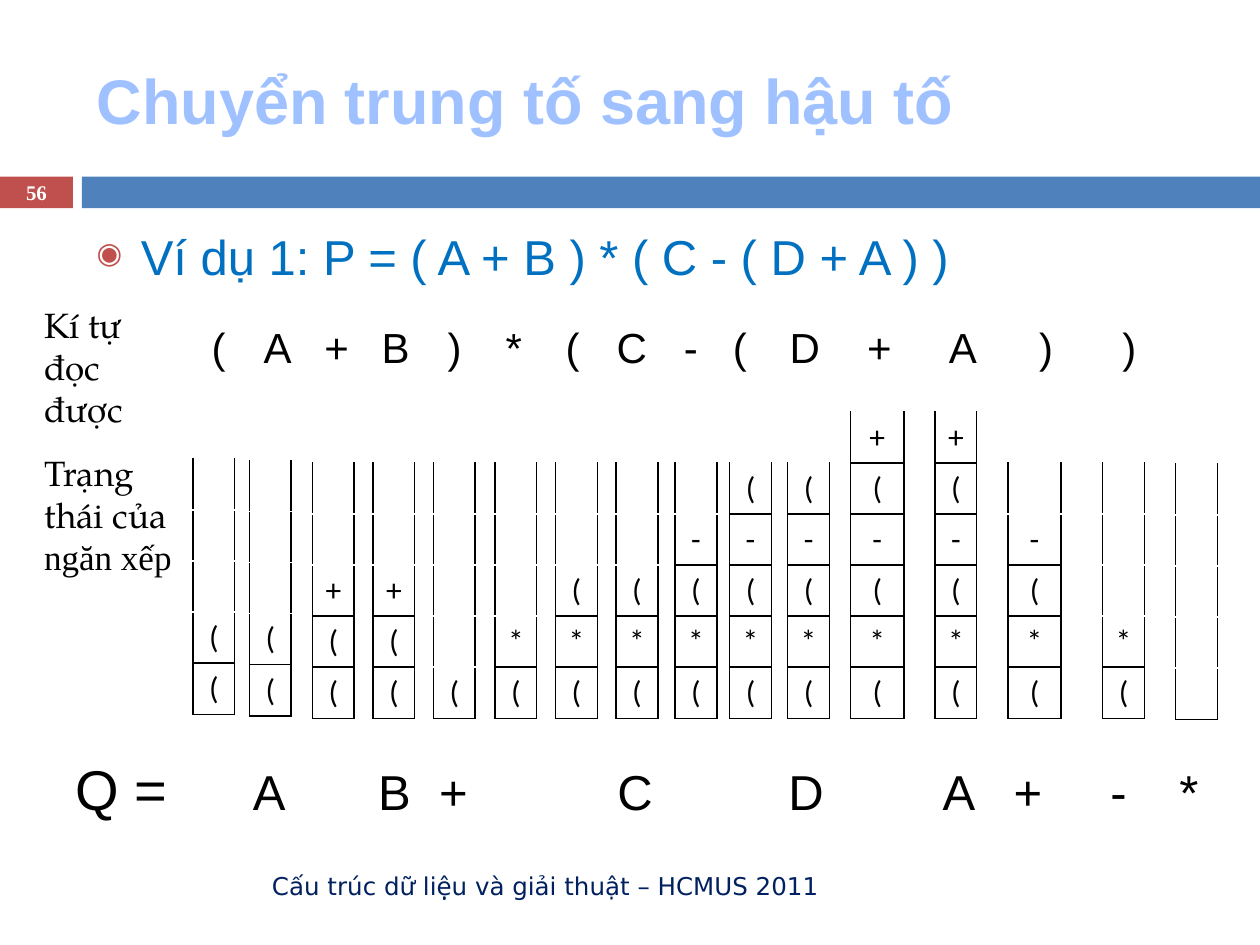
from lxml.etree import SubElement
from pptx import Presentation
from pptx.dml.color import RGBColor
from pptx.enum.shapes import MSO_SHAPE
from pptx.enum.text import MSO_ANCHOR, PP_ALIGN
from pptx.oxml.ns import qn
from pptx.util import Cm, Pt

BLACK, WHITE, RED = "000000", "FFFFFF", "C0504D"
ROW = 1.03

# Each stack: left, width, bottom, tokens from top to bottom
STACKS = [
    (3.89, 0.84, 14.4, "(("), (5.03, 0.84, 14.43, "(("),
    (6.3, 0.84, 14.48, "+(("), (7.52, 0.84, 14.48, "+(("),
    (8.74, 0.84, 14.48, "("), (9.98, 0.84, 14.48, "*("),
    (11.2, 0.84, 14.48, "(*("), (12.42, 0.84, 14.48, "(*("),
    (13.61, 0.84, 14.48, "-(*("), (14.71, 0.84, 14.48, "(-(*("),
    (15.88, 0.84, 14.48, "(-(*("), (17.15, 1.07, 14.48, "+(-(*("),
    (18.85, 0.84, 14.48, "+(-(*("), (20.32, 1.07, 14.48, "-(*("),
    (22.23, 0.84, 14.48, "*("), (23.7, 0.84, 14.5, ""),
]

# Output symbols and the centres of their columns
OUTPUT = [("A", 3.91), ("B", 6.43), ("+", 7.62), ("C", 11.28), ("D", 14.73),
          ("A", 17.81), ("+", 19.2), ("-", 21.03), ("*", 22.45)]


def color(code):
    return RGBColor.from_string(code)


def style(font, face, size, code, bold=False):
    font.name = face
    font.size = Pt(size)
    font.color.rgb = color(code)
    font.bold = bold


def add_bar(slide, left, width, code):
    bar = slide.shapes.add_shape(MSO_SHAPE.RECTANGLE, Cm(left), Cm(3.56),
                                 Cm(width), Cm(0.64))
    bar.shadow.inherit = False
    bar.fill.solid()
    bar.fill.fore_color.rgb = color(code)
    bar.line.fill.background()


def add_box(slide, area, text="", align=PP_ALIGN.LEFT, anchor=MSO_ANCHOR.TOP):
    frame = slide.shapes.add_textbox(*[Cm(v) for v in area]).text_frame
    frame.word_wrap = True
    frame.vertical_anchor = anchor
    para = frame.paragraphs[0]
    para.alignment = align
    if text:
        para.text = text
    return para


def add_run(para, text, face, size):
    run = para.add_run()
    run.text = text
    style(run.font, face, size, BLACK)


def add_bullet(para, indent):
    props = para._p.get_or_add_pPr()
    props.set("marL", str(Cm(indent)))
    props.set("indent", str(-Cm(indent)))
    tint = SubElement(props, qn("a:buClr"))
    SubElement(tint, qn("a:srgbClr"), val=RED)
    SubElement(props, qn("a:buSzPct"), val="60000")
    SubElement(props, qn("a:buChar"), char="◉")


def add_tabs(para, stops):
    tabs = SubElement(para._p.get_or_add_pPr(), qn("a:tabLst"))
    for stop in stops:
        SubElement(tabs, qn("a:tab"), pos=str(Cm(stop)), algn="ctr")


def add_edges(cell, sides):
    props = cell._tc.get_or_add_tcPr()
    for side in sides:
        line = SubElement(props, qn("a:ln" + side), w=str(Pt(1)))
        fill = SubElement(line, qn("a:solidFill"))
        SubElement(fill, qn("a:srgbClr"), val=BLACK)


def add_grid(slide, left, top, widths, heights):
    grid = slide.shapes.add_table(len(heights), len(widths), Cm(left), Cm(top),
                                  Cm(sum(widths)), Cm(sum(heights))).table
    grid.first_row = grid.horz_banding = False
    for col, width in zip(grid.columns, widths):
        col.width = Cm(width)
    for row, height in zip(grid.rows, heights):
        row.height = Cm(height)
    return grid


def fill_cell(cell, text, face, size):
    cell.fill.solid()
    cell.fill.fore_color.rgb = color(WHITE)
    if text:
        para = cell.text_frame.paragraphs[0]
        para.text = text
        para.alignment = PP_ALIGN.CENTER
        style(para.font, face, size, BLACK)


def add_input(slide):
    widths = [1.19] * 9 + [0.69] + [1.68] * 6
    grid = add_grid(slide, 3.81, 6.43, widths, [1.22])
    for col, text in enumerate("(A+B)*(C-(D+A)) "):
        fill_cell(grid.cell(0, col), text.strip(), "Arial", 24)
    grid.cell(0, 10).margin_left = Cm(0.6)


def add_stack(slide, left, width, bottom, tokens):
    rows = max(5, len(tokens))
    grid = add_grid(slide, left, bottom - rows * ROW, [width], [ROW] * rows)
    first = rows - len(tokens)
    for row, text in enumerate(tokens.rjust(rows)):
        cell = grid.cell(row, 0)
        # Open above the top token, closed below it
        sides = "LR"
        if row > first:
            sides += "T"
        if row >= first or row == rows - 1:
            sides += "B"
        add_edges(cell, sides)
        fill_cell(cell, text.strip(), "Calibri", 18)


def main():
    deck = Presentation()
    deck.slide_width, deck.slide_height = Cm(25.4), Cm(19.05)
    slide = deck.slides.add_slide(deck.slide_layouts[6])

    # Band, title, footer and page number
    add_bar(slide, 0, 1.47, RED)
    add_bar(slide, 1.65, 23.75, "4F81BD")
    mid = MSO_ANCHOR.MIDDLE
    title = add_box(slide, (1.7, 0.64, 22.66, 2.74),
                    "Chuyển trung tố sang hậu tố", anchor=mid)
    style(title.font, "Arial", 36, "A0C1FF", True)
    foot = add_box(slide, (1.7, 17.35, 15.06, 1.02),
                   "Cấu trúc dữ liệu và giải thuật – HCMUS 2011",
                   PP_ALIGN.RIGHT, mid)
    style(foot.font, "DejaVu Sans", 14, "002060")
    page = add_box(slide, (0, 3.53, 1.47, 0.69), "56", PP_ALIGN.CENTER, mid)
    style(page.font, "Times New Roman", 11.9, WHITE, True)

    # Example expression
    body = add_box(slide, (1.7, 4.45, 22.66, 12.5),
                   "Ví dụ 1: P = ( A + B ) * ( C - ( D + A ) )")
    add_bullet(body, 0.89)
    style(body.font, "Arial", 28, "0070C0")

    # Symbols read and stack states
    add_input(slide)
    read = add_box(slide, (0.64, 5.99, 3.38, 1.96), "Kí tự đọc được")
    style(read.font, "TeX Gyre Pagella", 20, BLACK)
    state = add_box(slide, (0.64, 8.97, 3.38, 2.79))
    add_run(state, "Trạng thái của ", "TeX Gyre Pagella", 20)
    add_run(state, "ngăn xếp", "Times New Roman", 20)
    for stack in STACKS:
        add_stack(slide, *stack)

    # Output queue
    queue = add_box(slide, (1.27, 15.09, 23.5, 1.63))
    add_tabs(queue, [stop for _, stop in OUTPUT])
    add_run(queue, "Q =", "Arial", 32)
    for text, _ in OUTPUT:
        add_run(queue, "\t" + text, "Arial", 28)

    deck.save("out.pptx")


if __name__ == "__main__":
    main()
